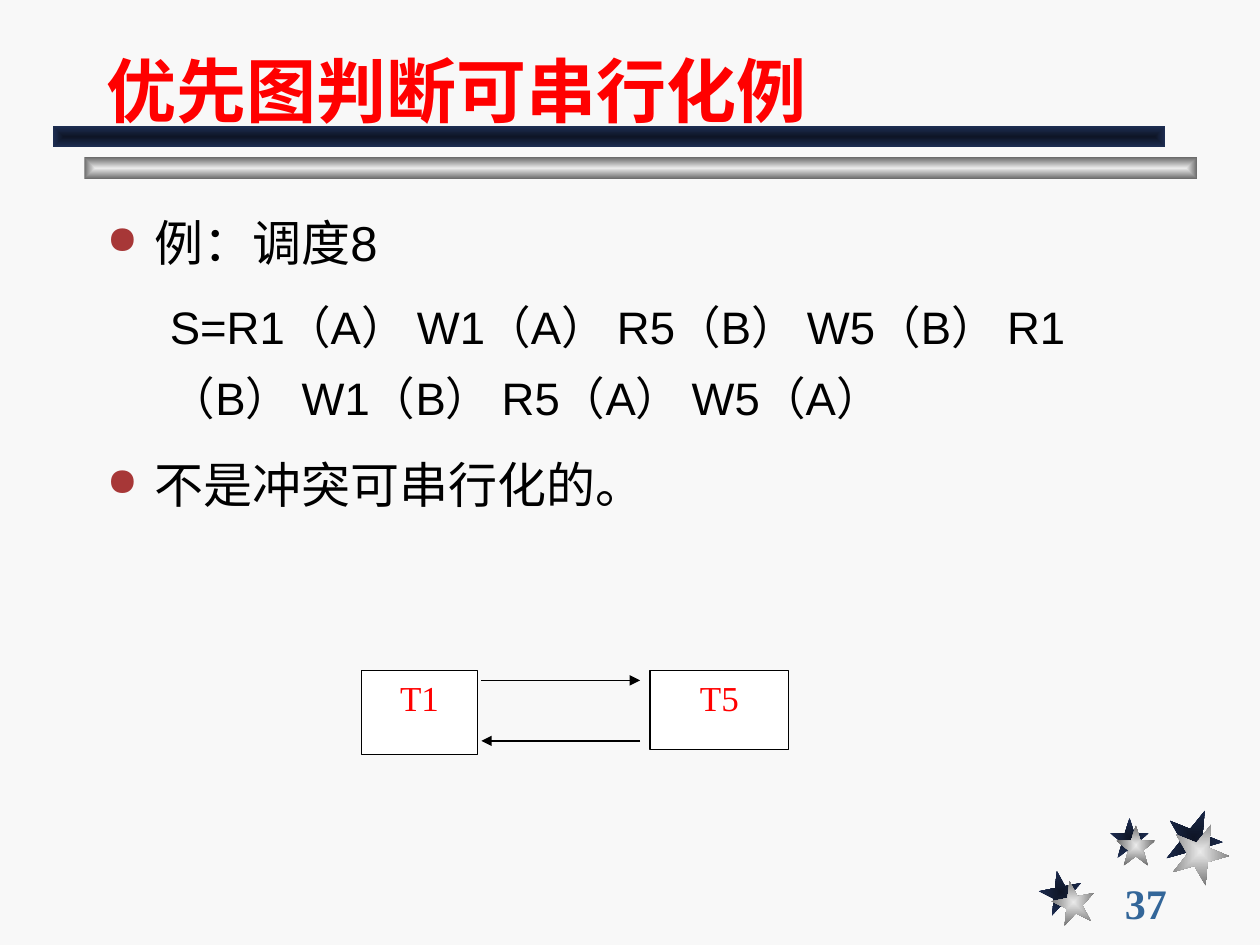
from lxml import etree
from pptx import Presentation
from pptx.dml.color import RGBColor
from pptx.enum.shapes import MSO_CONNECTOR, MSO_SHAPE
from pptx.enum.text import MSO_ANCHOR, PP_ALIGN
from pptx.oxml import parse_xml
from pptx.oxml.ns import qn
from pptx.util import Inches, Pt

RECT, STAR = MSO_SHAPE.RECTANGLE, MSO_SHAPE.STAR_5_POINT
TOP, MIDDLE, BOTTOM = MSO_ANCHOR.TOP, MSO_ANCHOR.MIDDLE, MSO_ANCHOR.BOTTOM
LEFT, CENTER = PP_ALIGN.LEFT, PP_ALIGN.CENTER
NS = "http://schemas.openxmlformats.org/drawingml/2006/main"

PAPER = RGBColor(0xF8, 0xF8, 0xF8)
WHITE = RGBColor(0xFF, 0xFF, 0xFF)
BLACK = RGBColor(0, 0, 0)
RED = RGBColor(0xFF, 0, 0)
BLUE = RGBColor(0x33, 0x66, 0x99)
BROWN = RGBColor(0xA7, 0x37, 0x37)
# Gradients run from the centre to the edge
NAVY = (RGBColor(0x0E, 0x15, 0x26), RGBColor(0x1E, 0x2E, 0x53))
SILVER = (RGBColor(0xEA, 0xEA, 0xEA), RGBColor(0x6C, 0x6C, 0x6C))

# Content
TITLE = "优先图判断可串行化例"
BODY = [  # level, text
    (0, "例：调度8"),
    (1, "S=R1（A） W1（A） R5（B） W5（B） R1（B） W1（B） R5（A） W5（A）"),
    (0, "不是冲突可串行化的。"),
]
PAGE = "37"
NODES = [("T1", (2.87, 5.32, 0.92, 0.67)), ("T5", (5.16, 5.32, 1.1, 0.63))]
ARROWS = [(3.82, 5.08, 5.4), (5.08, 3.82, 5.88)]  # from x, to x, y

# Decoration: place, turn, gradient
DECOR = [
    (STAR, (8.25, 6.91, 0.34, 0.34), 349, NAVY),
    (STAR, (8.81, 6.49, 0.31, 0.32), 0, NAVY),
    (STAR, (9.25, 6.42, 0.45, 0.46), 22, NAVY),
    (STAR, (8.35, 6.99, 0.34, 0.34), 349, SILVER),
    (STAR, (8.86, 6.55, 0.31, 0.32), 0, SILVER),
    (STAR, (9.3, 6.53, 0.45, 0.46), 22, SILVER),
    (RECT, (0.67, 1.25, 8.83, 0.17), 0, SILVER),
    (RECT, (0.42, 1, 8.83, 0.17), 0, NAVY),
]

# Formats
HEAD = {"size": Pt(40), "name": "Arial", "bold": True}
NUMBER = {"size": Pt(24), "name": "Times New Roman", "bold": True}
LABEL = {"size": Pt(20), "name": "Times New Roman"}
LEVELS = [
    {"font": {"size": Pt(28), "name": "Arial"}, "space": 7,
     "left": 0.38, "hang": -0.38, "dot": True},
    {"font": {"size": Pt(26), "name": "Arial"}, "space": 6.5,
     "left": 0.5, "hang": 0, "dot": False},
]


def style(para, form, color):
    for key, value in form.items():
        setattr(para.font, key, value)
    para.font.color.rgb = color


def write(frame, text, form, color, anchor=TOP, align=LEFT):
    frame.word_wrap = True
    frame.vertical_anchor = anchor
    para = frame.paragraphs[0]
    para.text = text
    para.alignment = align
    style(para, form, color)


def add_box(slide, at):
    return slide.shapes.add_textbox(*map(Inches, at))


def add_shape(slide, kind, at):
    shape = slide.shapes.add_shape(kind, *map(Inches, at))
    shape.shadow.inherit = False
    return shape


def shade(shape, colors):
    """Fill with a gradient that spreads from the centre."""
    stops = "".join(
        f'<a:gs pos="{pos}"><a:srgbClr val="{color}"/></a:gs>'
        for pos, color in zip((0, 100000), colors))
    fill = parse_xml(
        f'<a:gradFill xmlns:a="{NS}" rotWithShape="1"><a:gsLst>{stops}</a:gsLst>'
        '<a:path path="rect"><a:fillToRect l="50000" t="50000" r="50000" '
        'b="50000"/></a:path></a:gradFill>')
    shape.fill.background()
    old = shape.element.spPr.find(qn("a:noFill"))
    shape.element.spPr.replace(old, fill)
    shape.line.fill.background()


def indent(para, level):
    props = para._p.get_or_add_pPr()
    props.set("marL", str(Inches(level["left"])))
    props.set("indent", str(Inches(level["hang"])))
    if level["dot"]:
        color = etree.SubElement(props, qn("a:buClr"))
        etree.SubElement(color, qn("a:srgbClr"), val=str(BROWN))
        etree.SubElement(props, qn("a:buSzPct"), val="80000")
        etree.SubElement(props, qn("a:buChar"), char="●")
    else:
        etree.SubElement(props, qn("a:buNone"))


def add_body(slide):
    frame = add_box(slide, (0.75, 1.5, 8.66, 2.64)).text_frame
    frame.word_wrap = True
    for num, (depth, text) in enumerate(BODY):
        level = LEVELS[depth]
        para = frame.add_paragraph() if num else frame.paragraphs[0]
        para.text = text
        indent(para, level)
        para.line_spacing = 1.3
        para.space_before = Pt(level["space"] if num else 0)
        style(para, level["font"], BLACK)


def add_arrow(slide, start, end, y):
    line = slide.shapes.add_connector(
        MSO_CONNECTOR.STRAIGHT, *map(Inches, (start, y, end, y)))
    line.line.color.rgb = BLACK
    line.line.width = Pt(0.75)
    etree.SubElement(line.line._get_or_add_ln(), qn("a:tailEnd"), type="triangle")
    etree.SubElement(line._element.spPr, qn("a:effectLst"))


def main():
    deck = Presentation()
    deck.slide_width, deck.slide_height = Inches(10), Inches(7.5)
    slide = deck.slides.add_slide(deck.slide_layouts[6])
    slide.background.fill.solid()
    slide.background.fill.fore_color.rgb = PAPER

    # Stars and bars
    for kind, at, turn, colors in DECOR:
        shape = add_shape(slide, kind, at)
        shape.rotation = turn
        shade(shape, colors)

    # Page number, title and body
    write(add_box(slide, (8.83, 7, 1.08, 0.33)).text_frame, PAGE, NUMBER, BLUE, MIDDLE)
    write(add_box(slide, (0.75, 0.17, 8.5, 0.92)).text_frame, TITLE, HEAD, RED, BOTTOM)
    add_body(slide)

    # Precedence graph
    for name, at in NODES:
        node = add_shape(slide, RECT, at)
        node.fill.solid()
        node.fill.fore_color.rgb = WHITE
        node.line.color.rgb = BLACK
        node.line.width = Pt(0.75)
        write(node.text_frame, name, LABEL, RED, align=CENTER)
    for arrow in ARROWS:
        add_arrow(slide, *arrow)

    deck.save("out.pptx")


if __name__ == "__main__":
    main()
